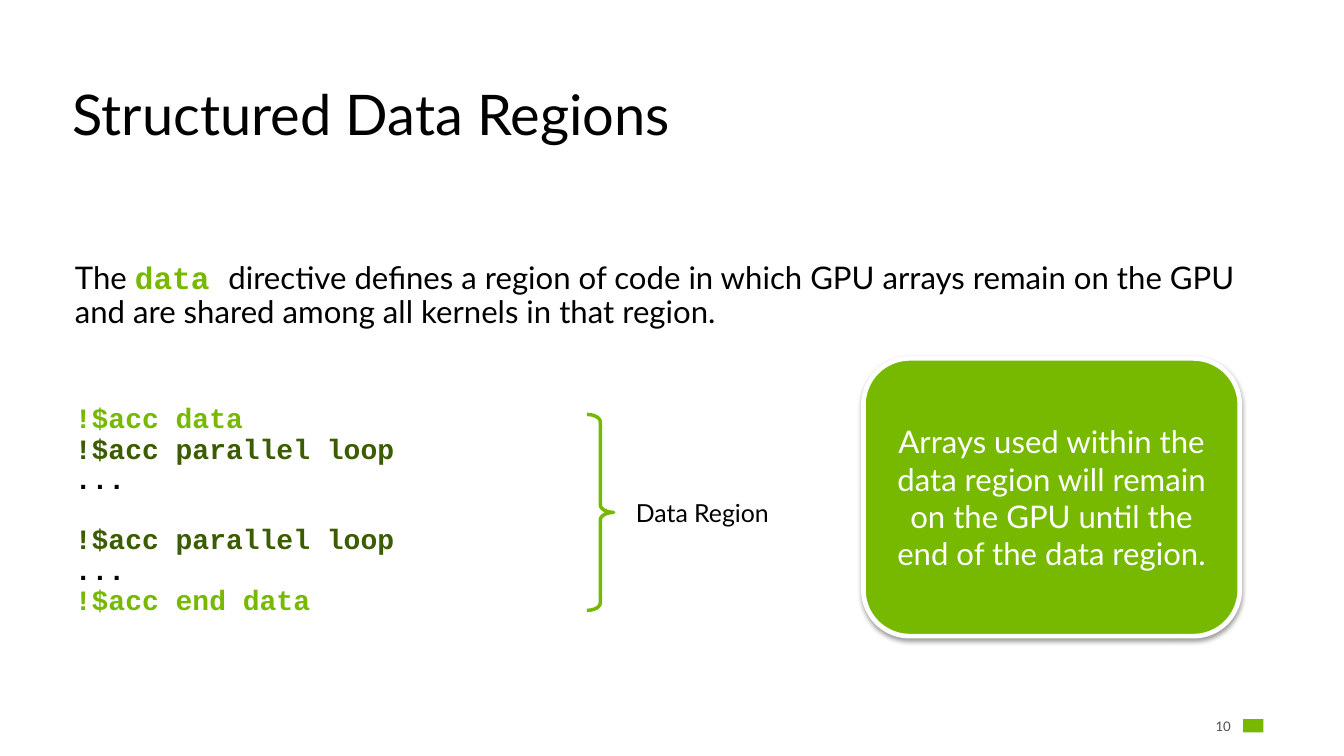
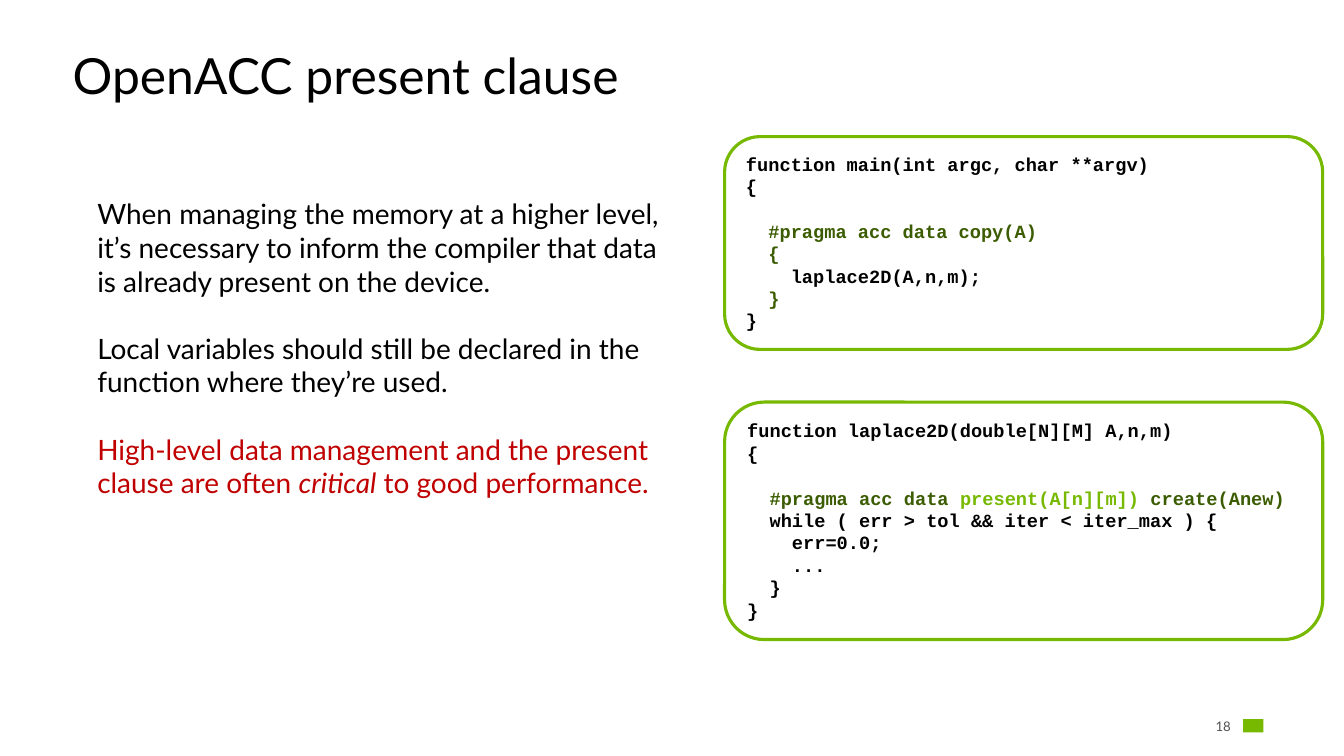
import dataclasses

import lxml.etree
import pptx
import pptx.dml.color
import pptx.enum.shapes
import pptx.enum.text
import pptx.oxml
import pptx.oxml.ns
import pptx.util

Shapes = pptx.enum.shapes.MSO_SHAPE
Align = pptx.enum.text.PP_ALIGN
Anchor = pptx.enum.text.MSO_ANCHOR


@dataclasses.dataclass(frozen=True)
class Theme:
    green: str = "76B900"
    dark_green: str = "3B5C00"
    red: str = "C00000"
    black: str = "000000"
    white: str = "FFFFFF"
    grey: str = "505050"
    mint: str = "13FFB6"
    sans: str = "Lato"
    mono: str = "Courier New"
    footer_font: str = "TeX Gyre Adventor"
    large_title: float = 36
    title: float = 32
    lead: float = 20
    body: float = 18
    label: float = 16
    code: float = 12
    page_number: float = 8.5
    footer_gap: float = 10.5
    tight: float = 0.9
    line_height: float = 1.2
    character_width: float = 0.6


THEME = Theme()
WIDTH, HEIGHT = pptx.util.Inches(12), pptx.util.Inches(6.75)
COLUMNS, ROWS = 120, 67.5


@dataclasses.dataclass(frozen=True)
class Box:
    left: float
    top: float
    width: float
    height: float

    def inside(self, left, top, width, height):
        return Box(self.left + left, self.top + top, width, height)

    def lengths(self):
        column, row = WIDTH / COLUMNS, HEIGHT / ROWS
        return (round(self.left * column), round(self.top * row),
                round(self.width * column), round(self.height * row))


@dataclasses.dataclass(frozen=True)
class Paragraph:
    runs: tuple
    before: float = 0
    after: float = 0
    indent: float = 0


PAGE = Box(0, 0, COLUMNS, ROWS)


def rgb(color):
    return pptx.dml.color.RGBColor.from_string(color)


def write_text(shape, content, *, size, font=THEME.sans, color=THEME.black,
               bold=False, italic=False, align=Align.LEFT, anchor=Anchor.TOP,
               line_spacing=1.0, margins=(0.1, 0.05)):
    frame = shape.text_frame
    frame.word_wrap = True
    frame.vertical_anchor = anchor
    frame.margin_left = frame.margin_right = pptx.util.Inches(margins[0])
    frame.margin_top = frame.margin_bottom = pptx.util.Inches(margins[1])
    if isinstance(content, str):
        content = [Paragraph(((content, {}),))]
    base = dict(size=size, font=font, color=color, bold=bold, italic=italic)
    for index, item in enumerate(content):
        paragraph = frame.add_paragraph() if index else frame.paragraphs[0]
        paragraph.alignment = align
        paragraph.line_spacing = line_spacing
        paragraph.space_before = pptx.util.Pt(item.before)
        paragraph.space_after = pptx.util.Pt(item.after)
        if item.indent:
            properties = paragraph._p.get_or_add_pPr()
            properties.set("marL", str(pptx.util.Pt(item.indent)))
            properties.set("indent", "0")
        for text, changes in item.runs:
            style = {**base, **changes}
            run = paragraph.add_run()
            run.text = text
            run.font.size = pptx.util.Pt(style["size"])
            run.font.name = style["font"]
            run.font.bold = style["bold"]
            run.font.italic = style["italic"]
            run.font.color.rgb = rgb(style["color"])


def add_text(slide, box, content, **text_format):
    write_text(slide.shapes.add_textbox(*box.lengths()), content, **text_format)


def add_shape(slide, preset, box, fill=None, line=None, line_width=0):
    shape = slide.shapes.add_shape(preset, *box.lengths())
    shape.shadow.inherit = False
    if fill:
        shape.fill.solid()
        shape.fill.fore_color.rgb = rgb(fill)
    else:
        shape.fill.background()
    if line:
        shape.line.color.rgb = rgb(line)
        shape.line.width = pptx.util.Pt(line_width)
    else:
        shape.line.fill.background()
    return shape


def add_soft_shadow(shape):
    effects = shape._element.spPr.find(pptx.oxml.ns.qn("a:effectLst"))
    shadow = lxml.etree.SubElement(
        effects, pptx.oxml.ns.qn("a:outerShdw"), blurRad=str(pptx.util.Pt(3.1)),
        dist=str(pptx.util.Pt(1.6)), dir="5400000", rotWithShape="0")
    color = lxml.etree.SubElement(shadow, pptx.oxml.ns.qn("a:srgbClr"), val=THEME.black)
    lxml.etree.SubElement(color, pptx.oxml.ns.qn("a:alpha"), val="38000")


def code_line(text, color=THEME.black, gap=0, indent=0):
    runs = ((text, {"color": color}),) if isinstance(text, str) else text
    step = THEME.code * THEME.character_width
    return Paragraph(runs, before=gap * THEME.code * THEME.line_height,
                     indent=indent * step)


def add_title(slide, box, text, size):
    add_text(slide, box, text, size=size, anchor=Anchor.BOTTOM,
             line_spacing=THEME.tight)


def add_footer(slide, box, number):
    runs = ((str(number), {}),
            (" ", dict(size=THEME.footer_gap, font=THEME.footer_font, color=THEME.mint)))
    add_text(slide, box.inside(0, 0, 3.5, 1.8), [Paragraph(runs)],
             size=THEME.page_number, color=THEME.grey, align=Align.RIGHT,
             anchor=Anchor.MIDDLE, margins=(0, 0))
    add_shape(slide, Shapes.RECTANGLE, box.inside(4.2, 0.4, 1.8, 1.2), fill=THEME.green)


def add_directive_text(slide, box):
    line = THEME.body * THEME.line_height * THEME.tight
    mono = dict(font=THEME.mono, bold=True)
    lead = Paragraph((
        ("The ", {}),
        ("data ", dict(mono, color=THEME.green)),
        ("directive defines a region of code in which GPU arrays remain on the GPU "
         "and are shared among all kernels in that region.", {})), before=9, after=9)
    listing = [
        ("!$acc data", THEME.green, 2),
        ("!$acc parallel loop", THEME.dark_green, 0),
        ("...", THEME.black, 0),
        ("!$acc parallel loop", THEME.dark_green, 1),
        ("...", THEME.black, 0),
        ("!$acc end data", THEME.green, 0)]
    code = [Paragraph(((text, dict(mono, color=color, size=THEME.body)),),
                      before=gap * line) for text, color, gap in listing]
    add_text(slide, box, [lead, *code], size=THEME.lead, line_spacing=THEME.tight)


def add_region_brace(slide, box):
    brace = add_shape(slide, Shapes.RIGHT_BRACE, box.inside(0, 0, 2.4, box.height),
                      line=THEME.green, line_width=2.25)
    brace.adjustments[0] = 0.28
    add_text(slide, box.inside(3.4, 6.9, 14.8, 3.7), "Data Region", size=THEME.label)


def add_callout(slide, box, text):
    callout = add_shape(slide, Shapes.ROUNDED_RECTANGLE, box, fill=THEME.green,
                        line=THEME.white, line_width=3)
    add_soft_shadow(callout)
    write_text(callout, text, size=THEME.lead, color=THEME.white,
               align=Align.CENTER, anchor=Anchor.MIDDLE)


def add_code_panel(slide, box, lines):
    panel = add_shape(slide, Shapes.ROUNDED_RECTANGLE, box, fill=THEME.white,
                      line=THEME.green, line_width=2)
    write_text(panel, lines, size=THEME.code, font=THEME.mono, bold=True)


def add_present_text(slide, box):
    gap = THEME.body * THEME.line_height
    red = dict(color=THEME.red)
    add_text(slide, box, [
        Paragraph((("When managing the memory at a higher level, it’s necessary to "
                    "inform the compiler that data is already present on the device.", {}),)),
        Paragraph((("Local variables should still be declared in the function where "
                    "they’re used.", {}),), before=gap),
        Paragraph((
            ("High-level data management and the present clause are often ", red),
            ("critical", dict(red, italic=True)),
            (" to good performance.", red)), before=gap),
    ], size=THEME.body)


def add_slide(presentation, number):
    slide = presentation.slides.add_slide(presentation.slide_layouts[6])
    add_footer(slide, PAGE.inside(106.8, 63.8, 10.4, 1.8), number)
    return slide


def build_data_regions(presentation, box):
    slide = add_slide(presentation, 10)
    add_title(slide, box.inside(5.5, 7.2, 109.1, 6.5), "Structured Data Regions",
              THEME.large_title)
    add_directive_text(slide, box.inside(5.7, 23, 108.8, 40.7))
    add_region_brace(slide, box.inside(52.4, 37, 18.2, 17.5))
    add_callout(slide, box.inside(77.1, 32, 33.6, 24.8),
                "Arrays used within the data region will remain on the GPU "
                "until the end of the data region.")


def build_present_clause(presentation, box):
    slide = add_slide(presentation, 18)
    add_title(slide, box.inside(5.5, 3.1, 109.1, 6.8), "OpenACC present clause",
              THEME.title)
    dark = dict(color=THEME.dark_green)
    add_code_panel(slide, box.inside(64.7, 35.9, 53.4, 21.2), [
        code_line("function laplace2D(double[N][M] A,n,m)"),
        code_line("{"),
        code_line((("#pragma acc data ", dark),
                   ("present(A[n][m]) ", dict(color=THEME.green)),
                   ("create(Anew)", dark)), gap=1, indent=2),
        code_line("while ( err > tol && iter < iter_max ) {", indent=2),
        code_line("err=0.0;", indent=4),
        code_line("...", indent=4),
        code_line("}", indent=2),
        code_line("}")])
    add_code_panel(slide, box.inside(64.7, 12.2, 53.4, 19), [
        code_line("function main(int argc, char **argv)"),
        code_line("{"),
        code_line("#pragma acc data copy(A)", THEME.dark_green, gap=1, indent=2),
        code_line("{", THEME.dark_green, indent=2),
        code_line("laplace2D(A,n,m);", indent=4),
        code_line("}", THEME.dark_green, indent=2),
        code_line("}")])
    add_present_text(slide, box.inside(7.7, 17.1, 54.2, 28.3))


def main():
    presentation = pptx.Presentation()
    presentation.slide_width, presentation.slide_height = WIDTH, HEIGHT
    build_data_regions(presentation, PAGE)
    build_present_clause(presentation, PAGE)
    presentation.save("out.pptx")


if __name__ == "__main__":
    main()
